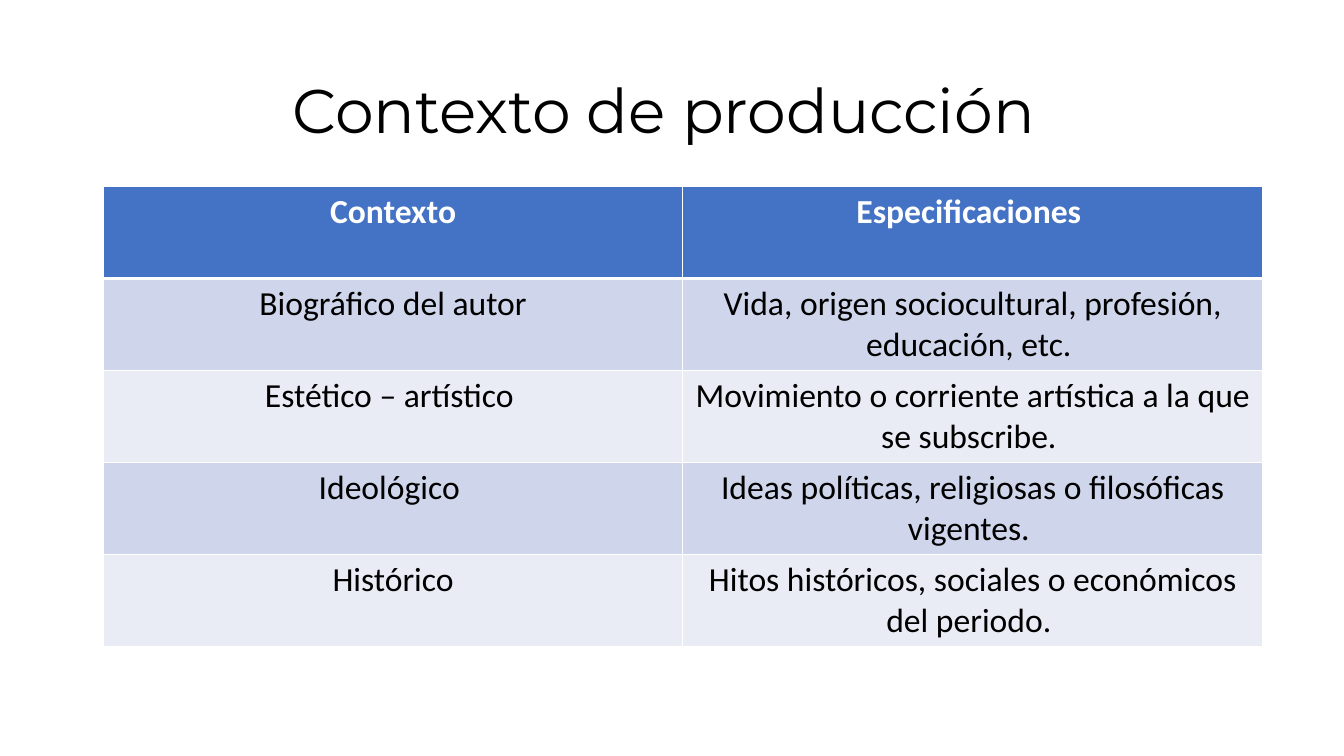
import pptx
import pptx.util
import pptx.dml.color
import pptx.enum.text
import pptx.oxml
import pptx.oxml.ns

Pt = pptx.util.Pt
CENTER = pptx.enum.text.PP_ALIGN.CENTER


def style(par, font, size, color, bold=False):
    par.alignment = CENTER
    for run in par.runs:
        run.font.name = font
        run.font.size = Pt(size)
        run.font.bold = bold
        run.font.color.rgb = pptx.dml.color.RGBColor.from_string(color)


def edge(cell, side, width):
    """Add a white border to one side of a cell: L, R, T or B."""
    cell._tc.get_or_add_tcPr().append(pptx.oxml.parse_xml(
        f'<a:ln{side} {pptx.oxml.ns.nsdecls("a")} w="{Pt(width)}">'
        f'<a:solidFill><a:srgbClr val="FFFFFF"/></a:solidFill></a:ln{side}>'))


deck = pptx.Presentation()
deck.slide_width, deck.slide_height = Pt(960), Pt(540)
slide = deck.slides.add_slide(deck.slide_layouts[6])

title = slide.shapes.add_textbox(Pt(66), Pt(28.75), Pt(828), Pt(104.4)).text_frame
title.word_wrap = True
title.vertical_anchor = pptx.enum.text.MSO_ANCHOR.MIDDLE
title.text = "Contexto de producción "
title.paragraphs[0].line_spacing = 0.9
style(title.paragraphs[0], "Montserrat", 44, "000000")

rows = [
    ("Contexto", "Especificaciones "),
    ("Biográfico del autor", "Vida, origen sociocultural, profesión, educación, etc. "),
    ("Estético – artístico ", "Movimiento o corriente artística a la que se subscribe. "),
    ("Ideológico ", "Ideas políticas, religiosas o filosóficas vigentes. "),
    ("Histórico", "Hitos históricos, sociales o económicos del periodo. "),
]
high = 65.75
table = slide.shapes.add_table(
    len(rows), 2, Pt(73.75), Pt(133.2), Pt(828), Pt(high * len(rows))).table

for r, texts in enumerate(rows):
    table.rows[r].height = Pt(high)
    head = r == 0
    back = "4472C4" if head else ("E9EBF5", "CFD5EA")[r % 2]
    for c, text in enumerate(texts):
        cell = table.cell(r, c)
        for side in "LRTB":
            thick = (head and side == "B") or (r == 1 and side == "T")
            edge(cell, side, 3 if thick else 1)
        cell.fill.solid()
        cell.fill.fore_color.rgb = pptx.dml.color.RGBColor.from_string(back)
        cell.text_frame.text = text
        style(cell.text_frame.paragraphs[0], "Calibri", 24,
              "FFFFFF" if head else "000000", head)

deck.save("out.pptx")
